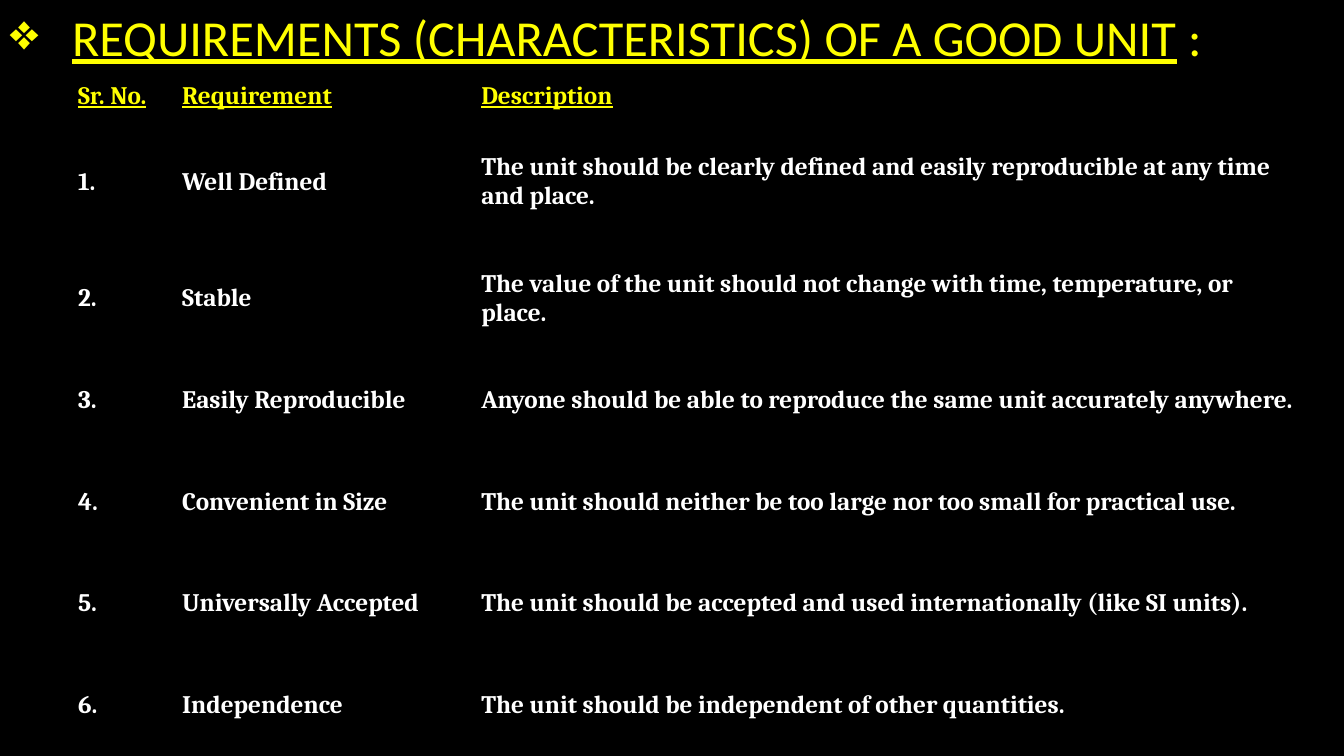
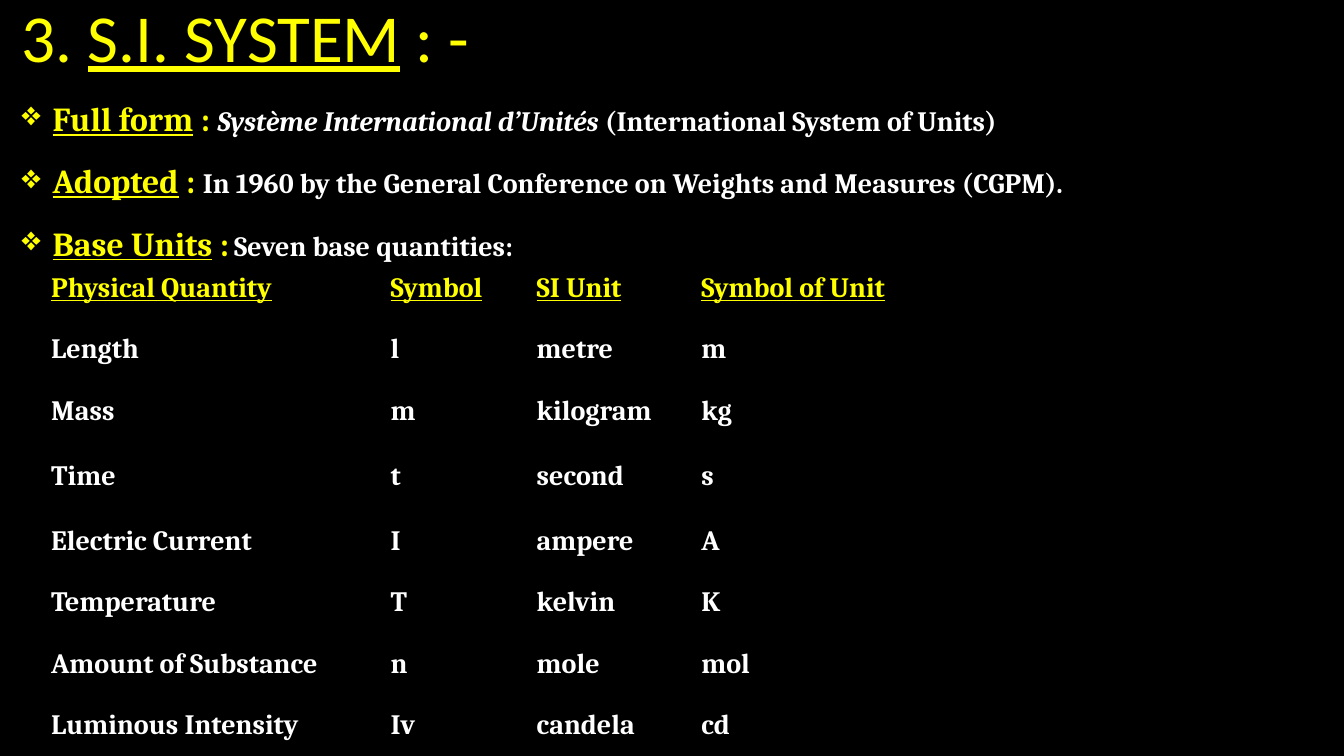
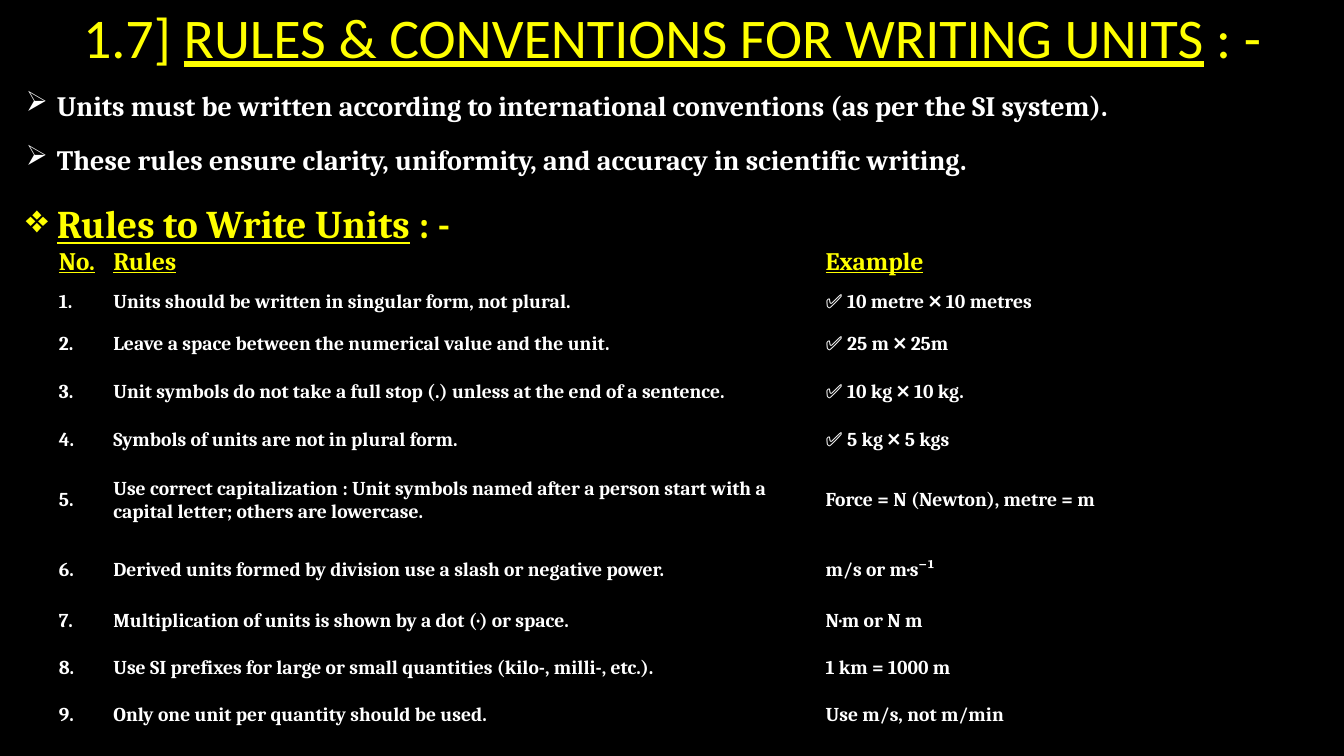
from dataclasses import dataclass, replace

from lxml.etree import SubElement
from pptx import Presentation
from pptx.dml.color import RGBColor
from pptx.enum.text import MSO_ANCHOR, PP_ALIGN
from pptx.oxml.ns import qn
from pptx.util import Emu, Pt

BLACK = RGBColor(0x00, 0x00, 0x00)
WHITE = RGBColor(0xFF, 0xFF, 0xFF)
YELLOW = RGBColor(0xFF, 0xFF, 0x00)

CELL = 762000
COLUMNS, ROWS = 16, 9
PLAIN_TABLE = "{2D5ABB26-0587-4C30-8999-92F81FD0307C}"


@dataclass(frozen=True)
class Ink:
    size: int
    color: RGBColor = WHITE
    font: str = "Cambria"
    bold: bool = True
    underline: bool = False
    italic: bool = False


def grid(units):
    return Emu(round(units * CELL))


def heading(label, size, tail):
    ink = Ink(size, YELLOW)
    return [(label, replace(ink, underline=True)), (tail, ink)]


class Deck:
    def __init__(self):
        self.presentation = Presentation()
        self.presentation.slide_width = grid(COLUMNS)
        self.presentation.slide_height = grid(ROWS)
        backdrop = self.presentation.slide_master.background.fill
        backdrop.solid()
        backdrop.fore_color.rgb = BLACK
        self.slide = None

    def new_slide(self):
        blank = self.presentation.slide_layouts[6]
        self.slide = self.presentation.slides.add_slide(blank)

    def add_pieces(self, paragraph, pieces):
        for words, ink in pieces:
            run = paragraph.add_run()
            run.text = words
            run.font.name = ink.font
            run.font.size = Pt(ink.size)
            run.font.bold = ink.bold
            run.font.italic = ink.italic
            run.font.underline = ink.underline
            run.font.color.rgb = ink.color

    def bullet(self, paragraph, mark, indent):
        properties = paragraph._p.get_or_add_pPr()
        properties.set("marL", str(grid(indent)))
        properties.set("indent", str(-grid(indent)))
        SubElement(properties, qn("a:buChar")).set("char", mark)

    def frame(self, left, top, width, height, anchor):
        box = self.slide.shapes.add_textbox(*map(grid, (left, top, width, height)))
        text_frame = box.text_frame
        text_frame.word_wrap = True
        text_frame.vertical_anchor = anchor
        return text_frame

    def title(self, number, name, tail, size, left=0, align=PP_ALIGN.LEFT, mark=None):
        text_frame = self.frame(left, 0, COLUMNS - left, 0.96, MSO_ANCHOR.MIDDLE)
        text_frame.margin_top = text_frame.margin_bottom = 0
        paragraph = text_frame.paragraphs[0]
        if mark:
            self.bullet(paragraph, mark, 0.74)
        paragraph.alignment = align
        paragraph.line_spacing = 0.9
        ink = Ink(size, YELLOW, "Calibri", bold=False)
        pieces = [(number, ink), (name, replace(ink, underline=True)), (tail, ink)]
        self.add_pieces(paragraph, [piece for piece in pieces if piece[0]])

    def points(self, left, top, width, height, items):
        text_frame = self.frame(left, top, width, height, MSO_ANCHOR.TOP)
        for index, (mark, pieces) in enumerate(items):
            paragraph = text_frame.add_paragraph() if index else text_frame.paragraphs[0]
            self.bullet(paragraph, mark, 0.37)
            paragraph.line_spacing = 1.2
            if index:
                paragraph.space_before = Pt(10)
            self.add_pieces(paragraph, pieces)

    def table(self, left, top, widths, heights, records, head_size, size, margins=(0.12, 0.06)):
        area = map(grid, (left, top, sum(widths), sum(heights)))
        table = self.slide.shapes.add_table(len(heights), len(widths), *area).table
        table.first_row = table.horz_banding = False
        table._tbl.tblPr.find(qn("a:tableStyleId")).text = PLAIN_TABLE
        for column, width in zip(table.columns, widths):
            column.width = grid(width)
        header_ink = Ink(head_size, YELLOW, underline=True)
        for index, (row, height, record) in enumerate(zip(table.rows, heights, records)):
            row.height = grid(height)
            for cell, words in zip(row.cells, record):
                cell.fill.background()
                cell.vertical_anchor = MSO_ANCHOR.MIDDLE
                cell.margin_left = cell.margin_right = grid(margins[0])
                cell.margin_top = cell.margin_bottom = grid(margins[1])
                ink = Ink(size) if index else header_ink
                self.add_pieces(cell.text_frame.paragraphs[0], [(words, ink)])


def numbered(header, rows):
    return [header] + [(f"{number}.", *row) for number, row in enumerate(rows, 1)]


def requirements(deck):
    deck.new_slide()
    deck.title("", "REQUIREMENTS (CHARACTERISTICS) OF A GOOD UNIT", " :", 36, mark="❖")
    records = numbered(("Sr. No.", "Requirement", "Description"), [
        ("Well Defined",
         "The unit should be clearly defined and easily reproducible at any time and place."),
        ("Stable", "The value of the unit should not change with time, temperature, or place."),
        ("Easily Reproducible",
         "Anyone should be able to reproduce the same unit accurately anywhere."),
        ("Convenient in Size",
         "The unit should neither be too large nor too small for practical use."),
        ("Universally Accepted",
         "The unit should be accepted and used internationally (like SI units)."),
        ("Independence", "The unit should be independent of other quantities."),
    ])
    deck.table(0.86, 0.9, [1.24, 3.56, 9.88], [0.49, 1.56] + [1.21] * 5, records,
               18, 18, (0.07, 0.04))


def si_system(deck):
    deck.new_slide()
    deck.title("3. ", "S.I. SYSTEM", " : -", 48, left=0.14)
    detail = Ink(20)
    deck.points(0.14, 1.01, 15.1, 2.06, [
        ("❖", heading("Full form", 24, " : ") + [
            ("Système International d’Unités", replace(detail, italic=True)),
            (" (International System of Units)", detail)]),
        ("❖", heading("Adopted", 24, " : ") + [
            ("In 1960 by the General Conference on Weights and Measures (CGPM).", detail)]),
        ("❖", heading("Base Units", 24, " :") + [
            (" ", Ink(16)), ("Seven base quantities:", detail)]),
    ])
    base_units = [
        ("Physical Quantity", "Symbol", "SI Unit", "Symbol of Unit"),
        ("Length", "l", "metre", "m"),
        ("Mass", "m", "kilogram", "kg"),
        ("Time", "t", "second", "s"),
        ("Electric Current", "I", "ampere", "A"),
        ("Temperature", "T", "kelvin", "K"),
        ("Amount of Substance", "n", "mole", "mol"),
        ("Luminous Intensity", "Iv", "candela", "cd"),
    ]
    deck.table(0.49, 3.07, [4.04, 1.74, 1.96, 3.22], [0.73] * 3 + [0.82] + [0.73] * 4,
               base_units, 20, 20)


def writing_rules(deck):
    deck.new_slide()
    deck.title("1.7] ", "RULES & CONVENTIONS FOR WRITING UNITS", " : -", 40,
               align=PP_ALIGN.CENTER)
    statement = Ink(20)
    deck.points(0.19, 0.91, 15.6, 1.98, [
        ("➢", [("Units must be written according to international conventions "
                "(as per the SI system).", statement)]),
        ("➢", [("These rules ensure clarity, uniformity, and accuracy in scientific writing.",
                statement)]),
        ("❖", heading("Rules to Write Units", 28, " : -")),
    ])
    records = numbered(("No.", "Rules", "Example"), [
        ("Units should be written in singular form, not plural.", "✅ 10 metre ❌ 10 metres"),
        ("Leave a space between the numerical value and the unit.", "✅ 25 m ❌ 25m"),
        ("Unit symbols do not take a full stop (.) unless at the end of a sentence.",
         "✅ 10 kg ❌ 10 kg."),
        ("Symbols of units are not in plural form.", "✅ 5 kg ❌ 5 kgs"),
        ("Use correct capitalization : Unit symbols named after a person start with a "
         "capital letter; others are lowercase.", "Force = N (Newton), metre = m"),
        ("Derived units formed by division use a slash or negative power.", "m/s or m·s⁻¹"),
        ("Multiplication of units is shown by a dot (·) or space.", "N·m or N m"),
        ("Use SI prefixes for large or small quantities (kilo-, milli-, etc.).",
         "1 km = 1000 m"),
        ("Only one unit per quantity should be used.", "Use m/s, not m/min"),
    ])
    heights = [0.46, 0.5, 0.5, 0.64, 0.5, 0.94, 0.72, 0.5, 0.62, 0.5]
    deck.table(0.64, 2.89, [0.65, 8.48, 4.57], heights, records, 18, 14, (0.06, 0.02))


def main():
    deck = Deck()
    requirements(deck)
    si_system(deck)
    writing_rules(deck)
    deck.presentation.save("out.pptx")


if __name__ == "__main__":
    main()
